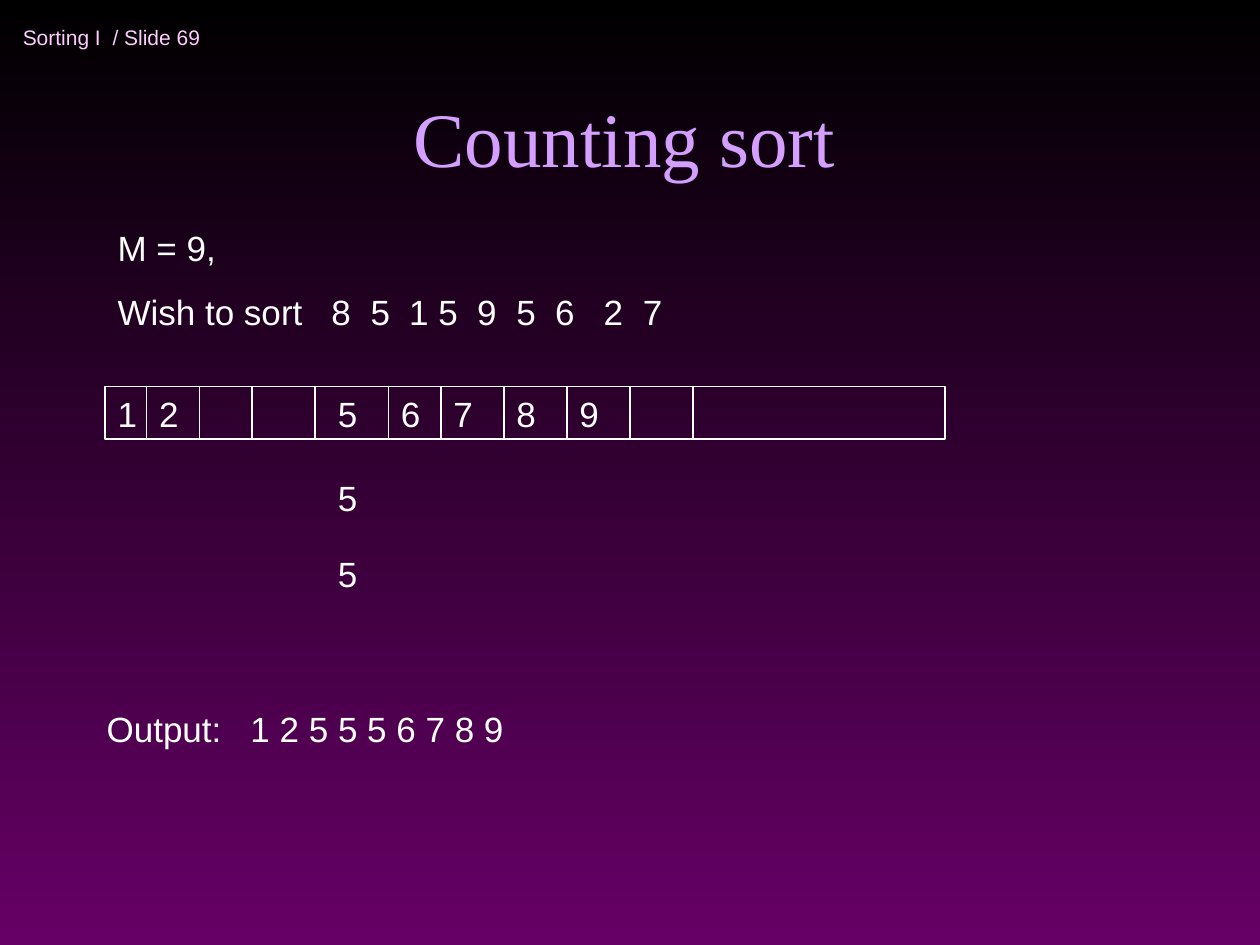
from dataclasses import dataclass

from pptx import Presentation
from pptx.dml.color import RGBColor
from pptx.enum.shapes import MSO_CONNECTOR, MSO_SHAPE
from pptx.enum.text import MSO_ANCHOR, PP_ALIGN
from pptx.oxml.ns import qn
from pptx.slide import Slide
from pptx.util import Cm, Pt
from lxml.etree import SubElement

COLORS = {
    "background_top": "000000",
    "background_bottom": "660066",
    "header": "FFCCFF",
    "title": "D49FFF",
    "body": "FFFFFF",
}
BUCKET_TOP = 7.79
BUCKET_HEIGHT = 1.06
LABEL_WIDTH = 1.06
LABEL_HEIGHT = 1.12
ARRAY_RIGHT = 19.05
FIVES_LEFT = 6.56


@dataclass(frozen=True)
class Bucket:
    left: float
    key: str = ""
    key_left: float | None = None


@dataclass(frozen=True)
class Caption:
    lines: tuple[str, ...]
    left: float
    top: float
    width: float
    height: float
    size: float = 20
    font: str = "Arial"
    color: str = "body"
    anchor: MSO_ANCHOR = MSO_ANCHOR.TOP
    align: PP_ALIGN = PP_ALIGN.LEFT
    tabs: tuple[float, ...] = ()


BUCKETS = (
    Bucket(2.12, "1"),
    Bucket(2.96, "2"),
    Bucket(4.02),
    Bucket(5.08),
    Bucket(6.35, "5", FIVES_LEFT),
    Bucket(7.83, "6"),
    Bucket(8.89, "7"),
    Bucket(10.16, "8"),
    Bucket(11.43, "9"),
    Bucket(12.7),
    Bucket(13.97),
)

HEADER = Caption(("Sorting I\t/ Slide 69",), 0.21, 0.21, 6.99, 1.06, size=12,
                 color="header", anchor=MSO_ANCHOR.MIDDLE, tabs=(1.81,))
PROBLEM = Caption(("M = 9,", "Wish to sort\t8\t5\t1 5\t9\t5\t6\t2\t7"),
                  2.12, 4.45, 19.05, 2.39,
                  tabs=(4.31, 5.1, 5.88, 7.25, 8.04, 8.82, 9.8, 10.59))
OUTPUT = Caption(("Output:\t1 2 5 5 5 6 7 8 9",), 1.9, 14.14, 14.4, LABEL_HEIGHT,
                 tabs=(2.9,))
TITLE = Caption(("Counting sort",), 1.69, 0.64, 21.8, 3.18, size=44,
                font="Times New Roman", color="title",
                anchor=MSO_ANCHOR.BOTTOM, align=PP_ALIGN.CENTER)


def rgb(name: str) -> RGBColor:
    return RGBColor.from_string(COLORS[name])


def paint_background(slide: Slide) -> None:
    fill = slide.background.fill
    fill.gradient()
    fill.gradient_angle = 270
    for stop, name in zip(fill.gradient_stops, ("background_top", "background_bottom")):
        stop.color.rgb = rgb(name)


def draw_caption(slide: Slide, caption: Caption) -> None:
    box = slide.shapes.add_textbox(Cm(caption.left), Cm(caption.top),
                                   Cm(caption.width), Cm(caption.height))
    frame = box.text_frame
    frame.word_wrap = True
    frame.vertical_anchor = caption.anchor
    frame.text = "\n".join(caption.lines)
    for index, paragraph in enumerate(frame.paragraphs):
        paragraph.alignment = caption.align
        if "\t" in paragraph.text:
            tab_list = SubElement(paragraph._p.get_or_add_pPr(), qn("a:tabLst"))
            for position in caption.tabs:
                SubElement(tab_list, qn("a:tab"), pos=str(Cm(position)), algn="l")
        if index:
            paragraph.space_before = Pt(12.5)
        for run in paragraph.runs:
            run.font.size = Pt(caption.size)
            run.font.name = caption.font
            run.font.color.rgb = rgb(caption.color)


def draw_key(slide: Slide, key: str, left: float, top: float) -> None:
    draw_caption(slide, Caption((key,), left, top, LABEL_WIDTH, LABEL_HEIGHT))


def draw_array(slide: Slide) -> None:
    array = slide.shapes.add_group_shape()
    first, *others = BUCKETS
    outline = array.shapes.add_shape(
        MSO_SHAPE.RECTANGLE, Cm(first.left), Cm(BUCKET_TOP),
        Cm(ARRAY_RIGHT - first.left), Cm(BUCKET_HEIGHT))
    outline.shadow.inherit = False
    outline.fill.background()
    outline.line.color.rgb = rgb("body")
    outline.line.width = Pt(0.75)
    for bucket in others:
        divider = array.shapes.add_connector(
            MSO_CONNECTOR.STRAIGHT, Cm(bucket.left), Cm(BUCKET_TOP),
            Cm(bucket.left), Cm(BUCKET_TOP + BUCKET_HEIGHT))
        divider.line.color.rgb = rgb("body")
        divider.line.width = Pt(0.75)
        SubElement(divider._element.spPr, qn("a:effectLst"))
    for bucket in BUCKETS:
        if bucket.key:
            draw_key(slide, bucket.key, bucket.key_left or bucket.left, BUCKET_TOP)


def main() -> None:
    presentation = Presentation()
    presentation.slide_width = Cm(25.4)
    presentation.slide_height = Cm(19.05)
    slide = presentation.slides.add_slide(presentation.slide_layouts[6])
    paint_background(slide)
    draw_caption(slide, HEADER)
    draw_caption(slide, PROBLEM)
    draw_array(slide)
    draw_caption(slide, OUTPUT)
    for top in (9.48, 11.01):
        draw_key(slide, "5", FIVES_LEFT, top)
    draw_caption(slide, TITLE)
    presentation.save("out.pptx")


if __name__ == "__main__":
    main()
